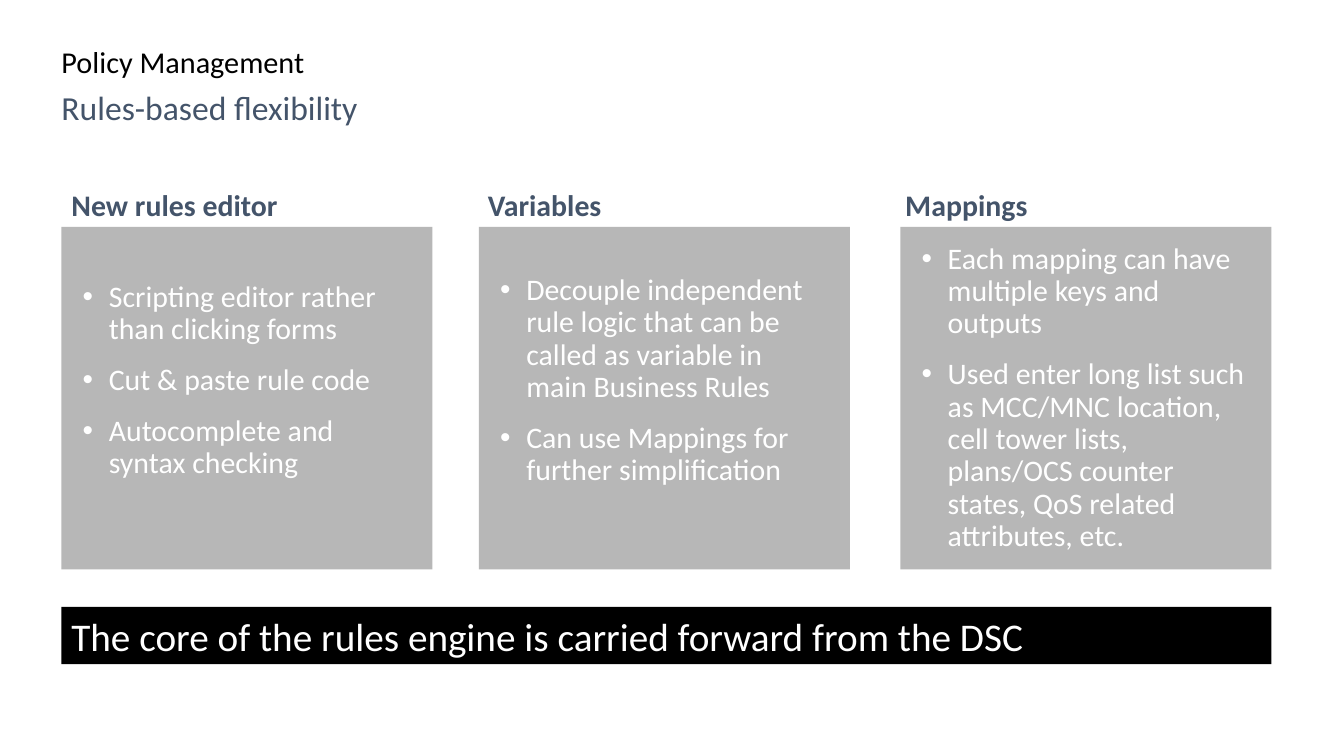
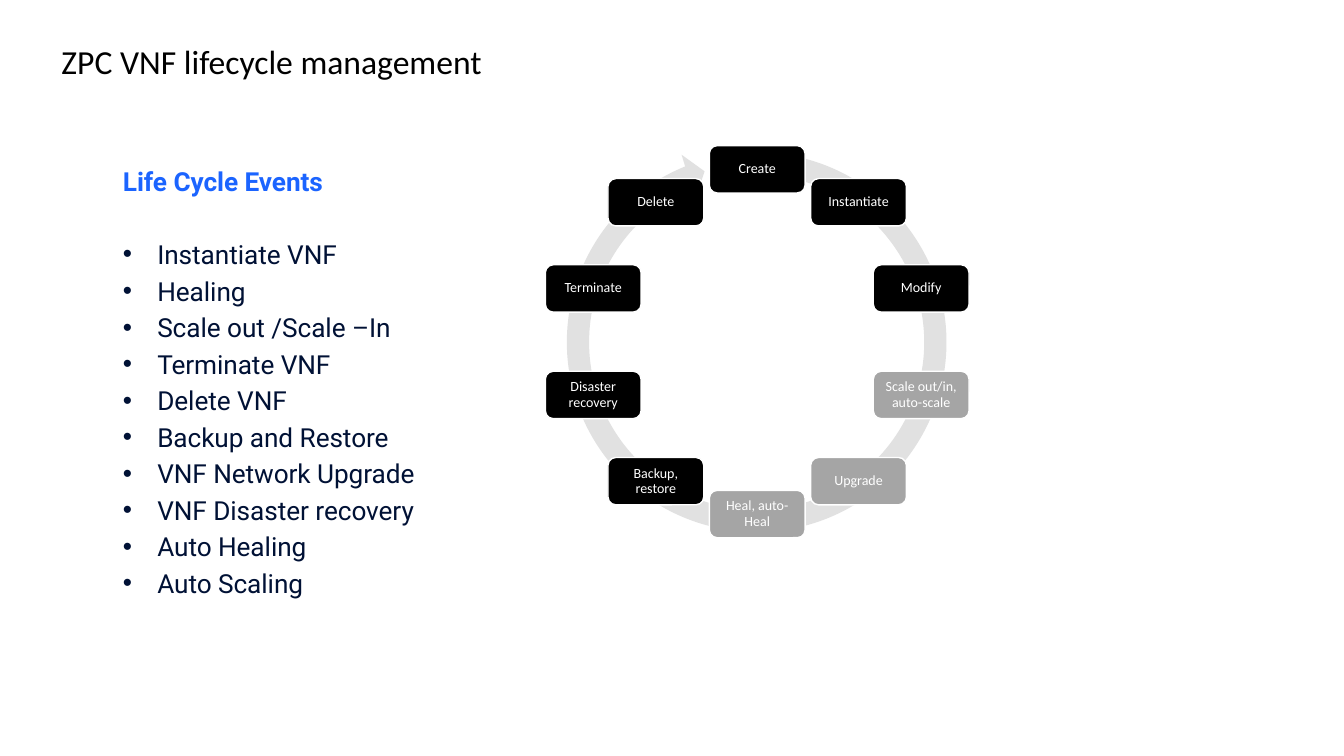
"""Build two slides on policy rules and the lifecycle of network functions."""
import math

from lxml import etree
from pptx import Presentation
from pptx.dml.color import RGBColor
from pptx.enum.shapes import MSO_SHAPE
from pptx.enum.text import MSO_ANCHOR, PP_ALIGN
from pptx.oxml.ns import qn
from pptx.util import Inches, Pt

RECT = MSO_SHAPE.RECTANGLE
ROUNDED = MSO_SHAPE.ROUNDED_RECTANGLE
RING = MSO_SHAPE.CIRCULAR_ARROW
TOP, MIDDLE = MSO_ANCHOR.TOP, MSO_ANCHOR.MIDDLE
LEFT, CENTER = PP_ALIGN.LEFT, PP_ALIGN.CENTER

BLACK = RGBColor(0x00, 0x00, 0x00)
WHITE = RGBColor(0xFF, 0xFF, 0xFF)
GRAY = RGBColor(0xA5, 0xA5, 0xA5)
RING_GRAY = RGBColor(0xE1, 0xE1, 0xE1)
SLATE = RGBColor(0x44, 0x54, 0x6A)
BLUE = RGBColor(0x1B, 0x64, 0xFF)
NAVY = RGBColor(0x00, 0x11, 0x35)

BODY_FONT, LIST_FONT = "Calibri", "Roboto"
MARGIN = 0.61
COLUMN_SIZE, LIST_SIZE = 21.33, 18.67

COLUMNS = [
    (MARGIN, MARGIN, "New rules editor", 0.55, [
        "Scripting editor rather than clicking forms",
        "Cut & paste rule code",
        "Autocomplete and syntax checking",
    ]),
    (4.75, 4.74, "Variables", 0.55, [
        "Decouple independent rule logic that can be called as variable "
        "in main Business Rules",
        "Can use Mappings for further simplification",
    ]),
    (8.93, 8.88, "Mappings", 0.21, [
        "Each mapping can have multiple keys and outputs",
        "Used enter long list such as MCC/MNC location, cell tower lists, "
        "plans/OCS counter states, QoS related attributes, etc.",
    ]),
]

EVENTS = [
    "Instantiate VNF", "Healing", "Scale out /Scale –In", "Terminate VNF",
    "Delete VNF", "Backup and Restore", "VNF Network Upgrade",
    "VNF Disaster recovery", "Auto Healing", "Auto Scaling",
]

STAGES = [
    ("Create", BLACK), ("Instantiate", BLACK), ("Modify", BLACK),
    ("Scale out/in, auto-scale", GRAY), ("Upgrade", GRAY),
    ("Heal, auto-Heal", GRAY), ("Backup, restore", BLACK),
    ("Disaster recovery", BLACK), ("Terminate", BLACK), ("Delete", BLACK),
]


def set_frame(sp, insets, anchor=TOP):
    """Set wrapping, anchor and insets (left, top, right, bottom)."""
    tf = sp.text_frame
    tf.word_wrap = True
    tf.vertical_anchor = anchor
    tf.margin_left, tf.margin_top, tf.margin_right, tf.margin_bottom = (
        Inches(v) for v in insets)
    return tf


def style_paragraph(p, size, color, font=BODY_FONT, bold=False, align=LEFT, spacing=None):
    """Format a paragraph and its runs."""
    p.alignment = align
    if spacing:
        p.line_spacing = spacing
    for r in p.runs:
        r.font.name = font
        r.font.size = Pt(size)
        r.font.bold = bold
        r.font.color.rgb = color


def add_bullet(p, indent):
    """Give a paragraph a hanging round bullet."""
    pPr = p._p.get_or_add_pPr()
    pPr.set("marL", str(Inches(indent)))
    pPr.set("indent", str(-Inches(indent)))
    etree.SubElement(pPr, qn("a:buFont")).set("typeface", "Arial")
    etree.SubElement(pPr, qn("a:buChar")).set("char", "•")


def add_label(slide, box, text, size, color, insets=(0, 0, 0, 0), anchor=TOP, **style):
    """Add a text box with one paragraph."""
    sp = slide.shapes.add_textbox(*(Inches(v) for v in box))
    tf = set_frame(sp, insets, anchor)
    tf.text = text
    style_paragraph(tf.paragraphs[0], size, color, **style)
    return tf


def add_block(slide, kind, box, fill, line=None):
    """Add a filled shape without shadow."""
    sp = slide.shapes.add_shape(kind, *(Inches(v) for v in box))
    sp.shadow.inherit = False
    sp.fill.solid()
    sp.fill.fore_color.rgb = fill
    if line is None:
        sp.line.fill.background()
    else:
        sp.line.color.rgb = line
        sp.line.width = Pt(1)
    return sp


def set_opacity(sp, percent):
    """Make a solid fill partly transparent."""
    color = sp.fill._xPr.find(qn("a:solidFill"))[0]
    etree.SubElement(color, qn("a:alpha")).set("val", str(percent * 1000))


def add_slide(prs, title, size):
    """Add a blank slide with a title."""
    slide = prs.slides.add_slide(prs.slide_layouts[6])
    add_label(slide, (MARGIN, 0.41, 12.12, 0.45), title, size, BLACK,
              (0, 0.05, 0.1, 0.05), MIDDLE, spacing=0.9)
    return slide


def add_column(slide, left, heading_left, heading, bottom_inset, points):
    """Add a heading over a gray panel of bullets."""
    sp = add_block(slide, RECT, (left, 2.25, 3.68, 3.4), GRAY)
    set_opacity(sp, 80)
    tf = set_frame(sp, (0.21, 0.21, 0.25, bottom_inset), MIDDLE)
    tf.text = "\n".join(points)
    for i, p in enumerate(tf.paragraphs):
        add_bullet(p, 0.26)
        style_paragraph(p, COLUMN_SIZE, WHITE, spacing=0.9)
        if i:
            p.space_before = Pt(13.3)
    add_label(slide, (heading_left, 1.75, 2.6, 0.57), heading, COLUMN_SIZE, SLATE,
              (0.1,) * 4, bold=True)


def add_event_list(slide):
    """Add the headed list of lifecycle events."""
    tf = add_label(slide, (1.22, 1.64, 4, 4.6), "Life Cycle Events", LIST_SIZE, BLUE,
                   font=LIST_FONT, bold=True)
    for i, event in enumerate(EVENTS):
        p = tf.add_paragraph()
        p.text = event
        add_bullet(p, 0.34)
        style_paragraph(p, LIST_SIZE, NAVY, font=LIST_FONT)
        p.space_before = Pt(3.7 if i else 29.8)


def add_cycle(slide, cx, cy, radius):
    """Add the ring arrow with the stages spaced evenly around it."""
    ring = add_block(slide, RING, (cx - 2.01, cy - 2, 4.01, 4.01), RING_GRAY)
    for i, value in enumerate((0.055, 3.307, 148.526, 167.596, 0.058)):
        ring.adjustments[i] = value
    width, height = 0.95, 0.47
    for i, (stage, fill) in enumerate(STAGES):
        angle = 2 * math.pi * i / len(STAGES)
        left = cx + radius * math.sin(angle) - width / 2
        top = cy - radius * math.cos(angle) - height / 2
        sp = add_block(slide, ROUNDED, (left, top, width, height), fill, WHITE)
        tf = set_frame(sp, (0.06,) * 4, MIDDLE)
        tf.text = stage
        style_paragraph(tf.paragraphs[0], 10, WHITE, align=CENTER, spacing=0.9)


def build_rules(prs):
    """Build the slide on rules."""
    slide = add_slide(prs, "Policy Management", 21.6)
    add_label(slide, (MARGIN, 0.86, 12.12, 0.45), "Rules-based flexibility", 24, SLATE)
    for column in COLUMNS:
        add_column(slide, *column)
    bar = add_block(slide, RECT, (MARGIN, 6.02, 12, 0.57), BLACK)
    tf = set_frame(bar, (0.1, 0.05, 0.1, 0.05), MIDDLE)
    tf.text = "The core of the rules engine is carried forward from the DSC"
    style_paragraph(tf.paragraphs[0], 28, WHITE)


def build_lifecycle(prs):
    """Build the slide on the lifecycle."""
    slide = add_slide(prs, "ZPC VNF lifecycle management", 24)
    add_cycle(slide, 7.51, 3.39, 1.71)
    add_event_list(slide)


def main():
    """Build and save the presentation."""
    prs = Presentation()
    prs.slide_width, prs.slide_height = Inches(13.33), Inches(7.5)
    build_rules(prs)
    build_lifecycle(prs)
    prs.save("out.pptx")


if __name__ == "__main__":
    main()
